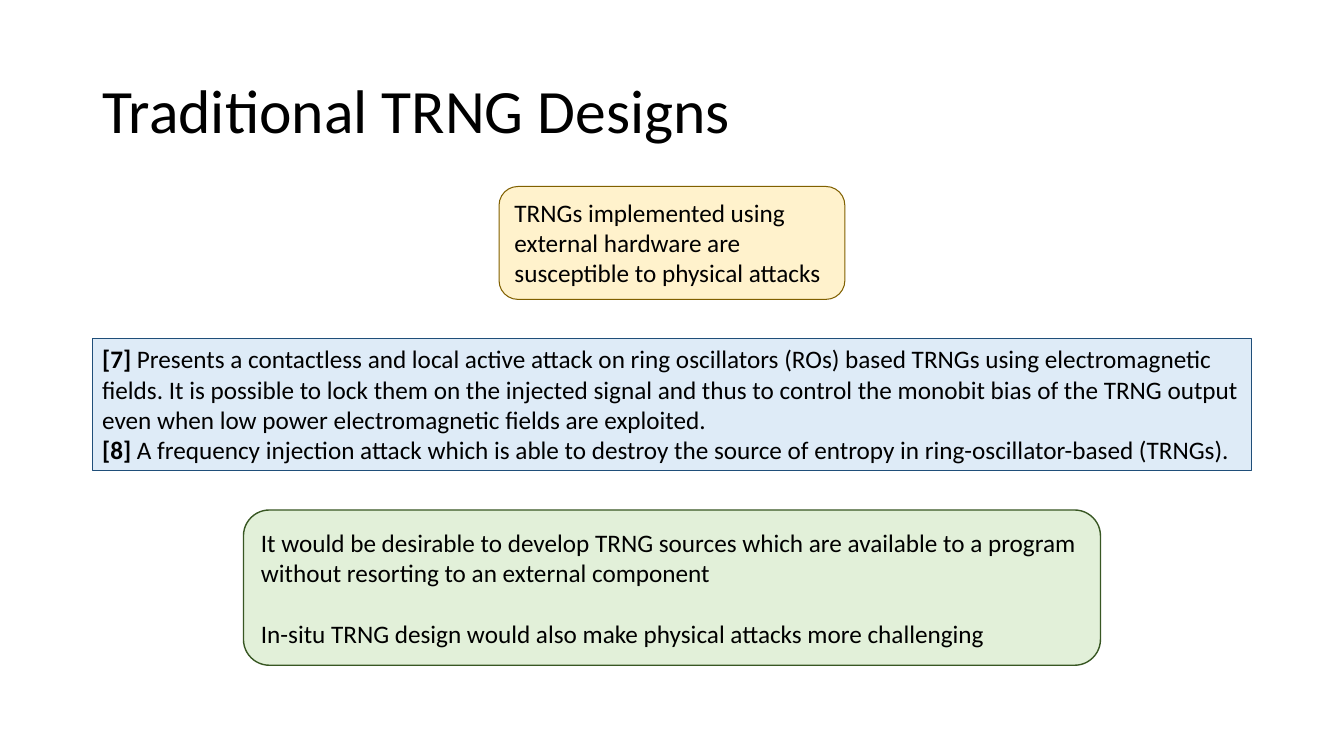
"""Build the slide on traditional TRNG designs."""
from pptx import Presentation
from pptx.dml.color import RGBColor
from pptx.enum.shapes import MSO_SHAPE as Kind
from pptx.enum.text import MSO_ANCHOR as Anchor, PP_ALIGN as Align
from pptx.util import Inches, Pt

WIDE, HIGH = 13.33, 7.5
TOP, GAP = 1.85, 0.39
COLORS = {
    "text": "000000",
    "cream": "FFF2CC", "brown": "806000",
    "sky": "DEEBF7", "navy": "1F4E79",
    "mint": "E2F0D9", "green": "385723",
}
RISK = [("", "TRNGs implemented using external hardware are susceptible to physical attacks")]
PAPERS = [
    ("[7]", " Presents a contactless and local active attack on ring oscillators (ROs) based "
            "TRNGs using electromagnetic fields. It is possible to lock them on the injected "
            "signal and thus to control the monobit bias of the TRNG output even when low power "
            "electromagnetic fields are exploited."),
    ("[8]", " A frequency injection attack which is able to destroy the source of entropy in "
            "ring-oscillator-based (TRNGs)."),
]
GOALS = [
    ("", "It would be desirable to develop TRNG sources which are available to a program "
         "without resorting to an external component"),
    ("", "In-situ TRNG design would also make physical attacks more challenging"),
]
BOXES = [
    (Kind.ROUNDED_RECTANGLE, 3.43, 1.12, "cream", "brown", 0.75, Anchor.TOP, RISK, 0),
    (Kind.RECTANGLE, 11.5, 1.31, "sky", "navy", 0.75, Anchor.TOP, PAPERS, 0),
    (Kind.FLOWCHART_ALTERNATE_PROCESS, 8.5, 1.54, "mint", "green", 1, Anchor.MIDDLE, GOALS, 22),
]


def color(name):
    """Return the named colour."""
    return RGBColor.from_string(COLORS[name])


def style(run, size, bold=False):
    """Format one run."""
    font = run.font
    font.name, font.size, font.bold = "Calibri", Pt(size), bold
    font.color.rgb = color("text")


def add_title(slide, text):
    """Add the slide title."""
    box = slide.shapes.add_textbox(Inches(0.92), Inches(0.4), Inches(11.5), Inches(1.45))
    frame = box.text_frame
    frame.word_wrap = True
    frame.vertical_anchor = Anchor.MIDDLE
    frame.text = text
    para = frame.paragraphs[0]
    para.line_spacing = 0.9
    style(para.runs[0], 44)


def add_box(slide, top, kind, width, height, fill, line, weight, anchor, lines, space):
    """Add a centred box with optional bold labels before its lines."""
    left = (WIDE - width) / 2
    shape = slide.shapes.add_shape(kind, Inches(left), Inches(top), Inches(width), Inches(height))
    shape.shadow.inherit = False
    shape.fill.solid()
    shape.fill.fore_color.rgb = color(fill)
    shape.line.color.rgb = color(line)
    shape.line.width = Pt(weight)
    frame = shape.text_frame
    frame.word_wrap = True
    frame.vertical_anchor = anchor
    for i, (label, text) in enumerate(lines):
        para = frame.add_paragraph() if i else frame.paragraphs[0]
        para.alignment = Align.LEFT
        if i:
            para.space_before = Pt(space)
        for part, bold in ((label, True), (text, False)):
            if part:
                run = para.add_run()
                run.text = part
                style(run, 18, bold)


def main():
    """Build and save the slide."""
    deck = Presentation()
    deck.slide_width, deck.slide_height = Inches(WIDE), Inches(HIGH)
    slide = deck.slides.add_slide(deck.slide_layouts[6])
    add_title(slide, "Traditional TRNG Designs")
    top = TOP
    for box in BOXES:
        add_box(slide, top, *box)
        top += box[2] + GAP
    deck.save("out.pptx")


if __name__ == "__main__":
    main()
